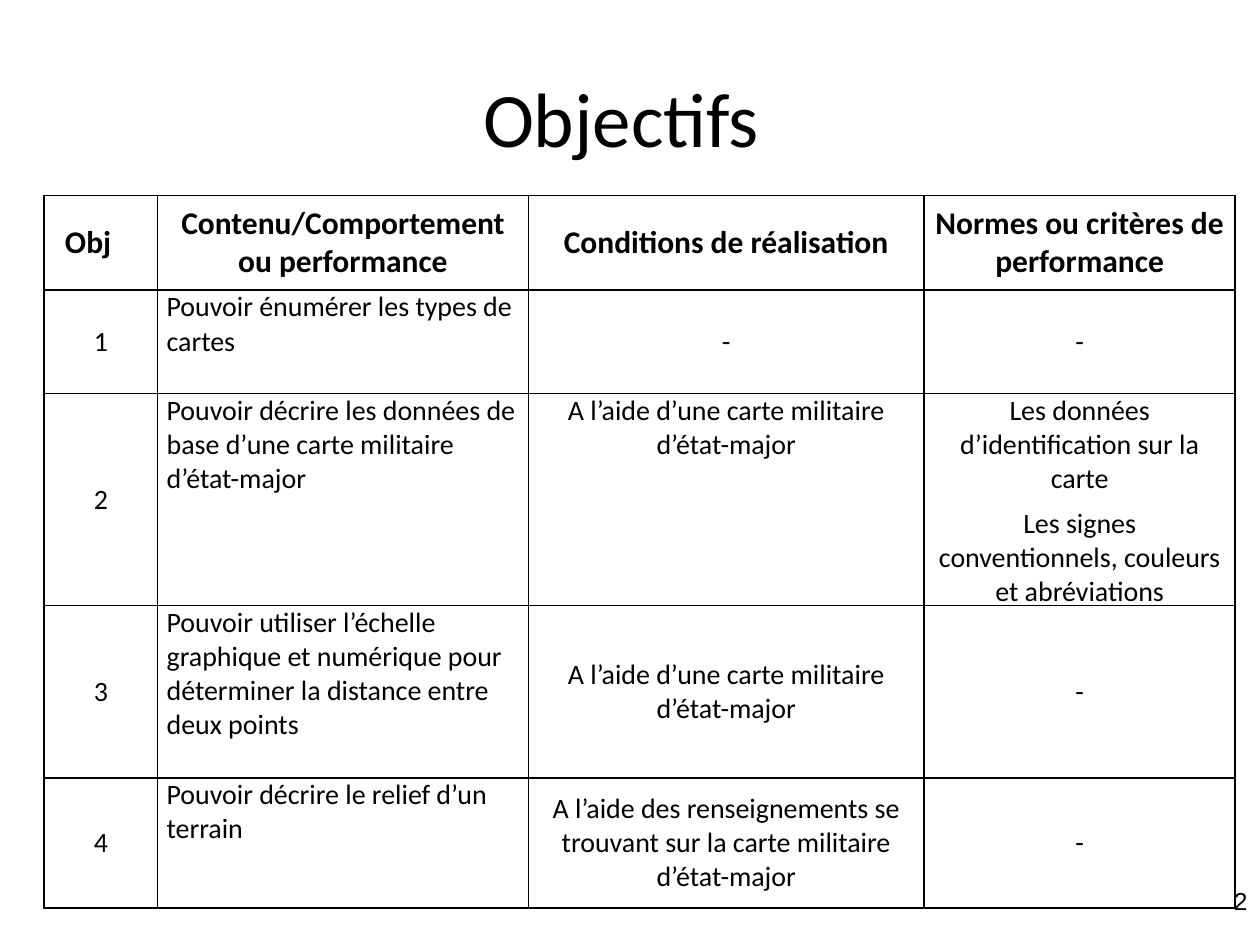
from lxml import etree
from pptx import Presentation
from pptx.dml.color import RGBColor
from pptx.enum.text import MSO_ANCHOR, PP_ALIGN
from pptx.oxml.ns import qn
from pptx.util import Cm, Pt

BLACK = RGBColor(0x00, 0x00, 0x00)
WHITE = RGBColor(0xFF, 0xFF, 0xFF)
LEFT, CENTER, RIGHT = PP_ALIGN.LEFT, PP_ALIGN.CENTER, PP_ALIGN.RIGHT
TOP, MIDDLE = MSO_ANCHOR.TOP, MSO_ANCHOR.MIDDLE

COLUMN_WIDTHS = [2.29, 7.47, 7.98, 6.27]
ROW_HEIGHTS = [1.91, 2.08, 3.94, 3.48, 2.62]
OBJECTIVES = [
    ["Obj", "Contenu/Comportement ou performance",
     "Conditions de réalisation", "Normes ou critères de performance"],
    ["1", "Pouvoir énumérer les types de cartes", "-", "-"],
    ["2", "Pouvoir décrire les données de base d’une carte militaire d’état-major",
     "A l’aide d’une carte militaire d’état-major",
     "Les données d’identification sur la carte\n"
     "Les signes conventionnels, couleurs et abréviations"],
    ["3", "Pouvoir utiliser l’échelle graphique et numérique pour déterminer "
     "la distance entre deux points",
     "A l’aide d’une carte militaire d’état-major", "-"],
    ["4", "Pouvoir décrire le relief d’un terrain",
     "A l’aide des renseignements se trouvant sur la carte militaire d’état-major", "-"],
]
TOP_CELLS = {(1, 1), (2, 1), (3, 1), (4, 1), (2, 2)}


class SlideBuilder:
    body_font = "Calibri"
    number_font = "Arial"
    cell_margins = {"margin_left": Cm(0.18), "margin_right": Cm(0.18),
                    "margin_top": 0, "margin_bottom": 0}

    def __init__(self, slide):
        self.slide = slide

    def apply(self, target, values):
        for name, value in values.items():
            setattr(target, name, value)

    def paragraphs(self, frame, text, align, font):
        for index, line in enumerate(text.split("\n")):
            para = frame.add_paragraph() if index else frame.paragraphs[0]
            para.alignment = align
            if index:
                para.space_before = Pt(6)
            span = para.add_run()
            span.text = line
            self.apply(span.font, font)
            span.font.color.rgb = BLACK

    def text(self, place, text, align, anchor, font):
        box = self.slide.shapes.add_textbox(*map(Cm, place))
        self.apply(box.text_frame, {"word_wrap": True, "vertical_anchor": anchor})
        self.paragraphs(box.text_frame, text, align, font)

    def borders(self, cell):
        properties = cell._tc.get_or_add_tcPr()
        for side in ("a:lnL", "a:lnR", "a:lnT", "a:lnB"):
            line = etree.SubElement(properties, qn(side), w=str(Pt(1)))
            fill = etree.SubElement(line, qn("a:solidFill"))
            etree.SubElement(fill, qn("a:srgbClr"), val=str(BLACK))

    def table(self, left, top, rows):
        place = map(Cm, (left, top, sum(COLUMN_WIDTHS), sum(ROW_HEIGHTS)))
        table = self.slide.shapes.add_table(len(rows), len(COLUMN_WIDTHS), *place).table
        self.apply(table, {"first_row": False, "horz_banding": False})
        for column, width in zip(table.columns, COLUMN_WIDTHS):
            column.width = Cm(width)
        for row, height in zip(table.rows, ROW_HEIGHTS):
            row.height = Cm(height)
        for row_index, texts in enumerate(rows):
            header = row_index == 0
            font = {"name": self.body_font, "size": Pt(18 if header else 16), "bold": header}
            for column_index, text in enumerate(texts):
                cell = table.cell(row_index, column_index)
                anchor = TOP if (row_index, column_index) in TOP_CELLS else MIDDLE
                align = LEFT if column_index == 1 and not header else CENTER
                self.apply(cell, {**self.cell_margins, "vertical_anchor": anchor})
                self.borders(cell)
                cell.fill.solid()
                cell.fill.fore_color.rgb = WHITE
                self.paragraphs(cell.text_frame, text, align, font)
        return table


def main():
    deck = Presentation()
    deck.slide_width, deck.slide_height = Cm(25.4), Cm(19.05)
    page = SlideBuilder(deck.slides.add_slide(deck.slide_layouts[6]))
    page.text((19.48, 17.73, 5.92, 1.32), "2", RIGHT, TOP,
              {"name": page.number_font, "size": Pt(14)})
    page.text((1.27, 0.76, 22.86, 3.18), "Objectifs ", CENTER, MIDDLE,
              {"name": page.body_font, "size": Pt(44)})
    table = page.table(0.89, 3.94, OBJECTIVES)
    table.cell(0, 0).margin_right = Cm(0.7)
    deck.save("out.pptx")


if __name__ == "__main__":
    main()
